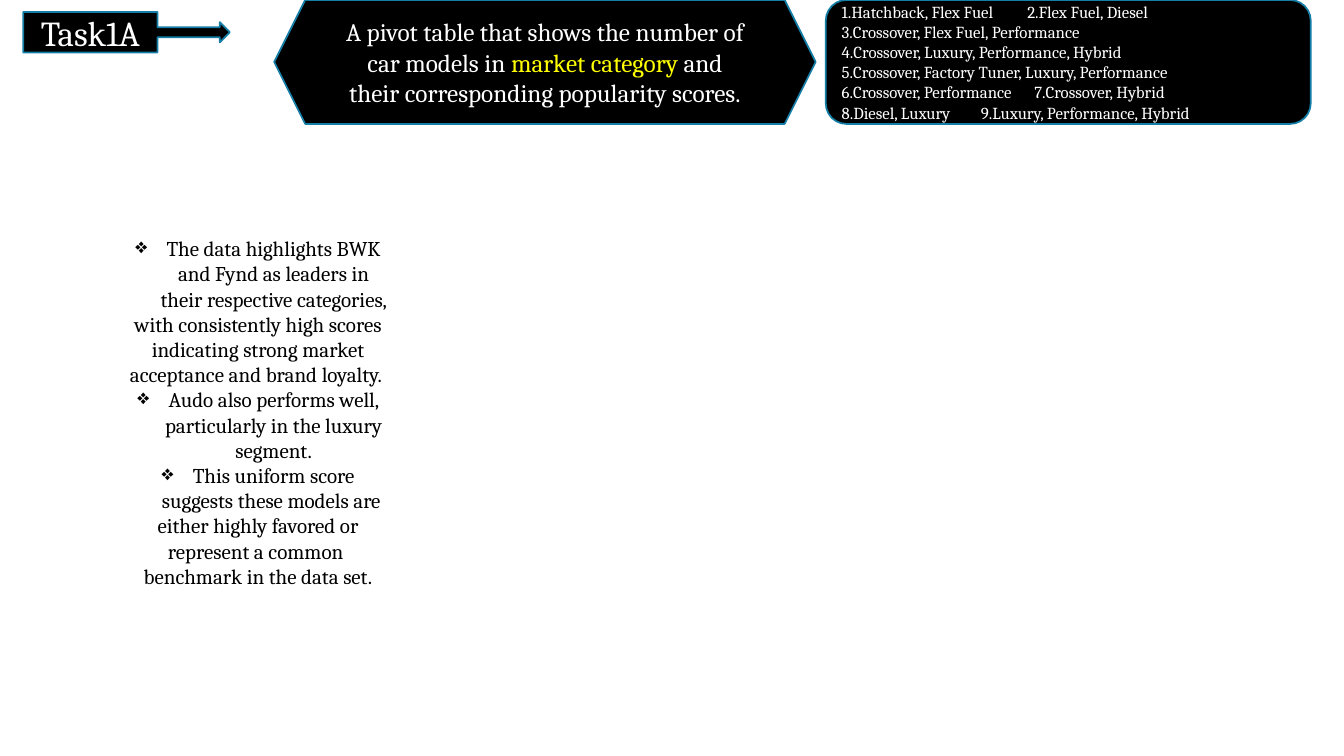
from lxml.etree import SubElement
from pptx import Presentation
from pptx.dml.color import RGBColor
from pptx.enum.shapes import MSO_SHAPE as Shape
from pptx.enum.text import MSO_ANCHOR as Anchor, MSO_AUTO_SIZE as AutoSize, PP_ALIGN as Align
from pptx.oxml.ns import qn
from pptx.util import Inches, Pt

COLORS = {"black": "000000", "white": "FFFFFF", "yellow": "FFFF00", "outline": "147EA6"}
FONT = "Cambria"
WIDTH, HEIGHT = 13.33, 7.5
BAND = 1.23
INDENT = 0.31

TASK = "Task1A"
HEADING = [
    ("A pivot table that shows the number of car models in", "white"),
    (" market category ", "yellow"),
    ("and their corresponding popularity scores.", "white"),
]
CATEGORIES = [
    ("1.Hatchback, Flex Fuel\t2.Flex Fuel, Diesel", 1.84),
    ("3.Crossover, Flex Fuel, Performance", None),
    ("4.Crossover, Luxury, Performance, Hybrid", None),
    ("5.Crossover, Factory Tuner, Luxury, Performance", None),
    ("6.Crossover, Performance\t7.Crossover, Hybrid", 1.91),
    ("8.Diesel, Luxury\t9.Luxury, Performance, Hybrid", 1.38),
]
FINDINGS = [
    ("The data highlights BWK and Fynd as leaders in their respective categories, ", True),
    ("with consistently high scores indicating strong market acceptance and brand loyalty. ", False),
    ("Audo also performs well, particularly in the luxury segment.", True),
    ("This uniform score suggests these models are ", True),
    ("either highly favored or represent a common ", False),
    ("benchmark in the data set.", False),
]


def color(name):
    return RGBColor.from_string(COLORS[name])


def add_panel(slide, kind, left, top, width, height):
    shape = slide.shapes.add_shape(kind, *map(Inches, (left, top, width, height)))
    shape.shadow.inherit = False
    shape.fill.solid()
    shape.fill.fore_color.rgb = color("black")
    shape.line.color.rgb = color("outline")
    shape.line.width = Pt(1.25)
    shape.text_frame.vertical_anchor = Anchor.MIDDLE
    return shape


def write(paragraph, text, size, ink="white", align=Align.CENTER, bullet=False, tab=None):
    paragraph.alignment = align
    properties = paragraph._p.get_or_add_pPr()
    if bullet:
        properties.set("marL", str(Inches(INDENT)))
        properties.set("indent", str(-Inches(INDENT)))
        bullet_color = SubElement(properties, qn("a:buClr"))
        SubElement(bullet_color, qn("a:srgbClr"), val=COLORS[ink])
        SubElement(properties, qn("a:buChar"), char="❖")
    if tab:
        tabs = SubElement(properties, qn("a:tabLst"))
        SubElement(tabs, qn("a:tab"), pos=str(Inches(tab)), algn="l")
    run = paragraph.add_run()
    run.text = text
    run.font.name = FONT
    run.font.size = Pt(size)
    run.font.color.rgb = color(ink)


def next_paragraph(frame, index):
    return frame.add_paragraph() if index else frame.paragraphs[0]


def add_heading(slide):
    left, width, text_width = 2.72, 5.37, 4.2
    add_panel(slide, Shape.HEXAGON, left, 0, width, BAND)
    title = slide.shapes.title
    title.left, title.top = Inches(left + (width - text_width) / 2), 0
    title.width, title.height = Inches(text_width), Inches(BAND)
    frame = title.text_frame
    frame.word_wrap = True
    frame.auto_size = AutoSize.NONE
    frame.vertical_anchor = Anchor.MIDDLE
    for text, ink in HEADING:
        write(frame.paragraphs[0], text, 18, ink=ink)
    slide.shapes._spTree.append(title._element)


def add_findings(slide):
    box = slide.shapes.add_textbox(*map(Inches, (1.18, 2.29, 2.76, 3.64)))
    box.text_frame.word_wrap = True
    box.text_frame.auto_size = AutoSize.SHAPE_TO_FIT_TEXT
    for index, (text, bullet) in enumerate(FINDINGS):
        write(next_paragraph(box.text_frame, index), text, 15, ink="black", bullet=bullet)


def add_categories(slide):
    panel = add_panel(slide, Shape.ROUNDED_RECTANGLE, 8.19, 0, 4.81, BAND)
    for index, (text, tab) in enumerate(CATEGORIES):
        write(next_paragraph(panel.text_frame, index), text, 12, align=Align.JUSTIFY, tab=tab)


def main():
    presentation = Presentation()
    presentation.slide_width, presentation.slide_height = Inches(WIDTH), Inches(HEIGHT)
    slide = presentation.slides.add_slide(presentation.slide_layouts[5])
    task = add_panel(slide, Shape.RIGHT_ARROW_CALLOUT, 0.23, 0.12, 2.05, 0.4)
    write(task.text_frame.paragraphs[0], TASK, 25)
    add_heading(slide)
    add_findings(slide)
    add_categories(slide)
    presentation.save("out.pptx")


if __name__ == "__main__":
    main()
